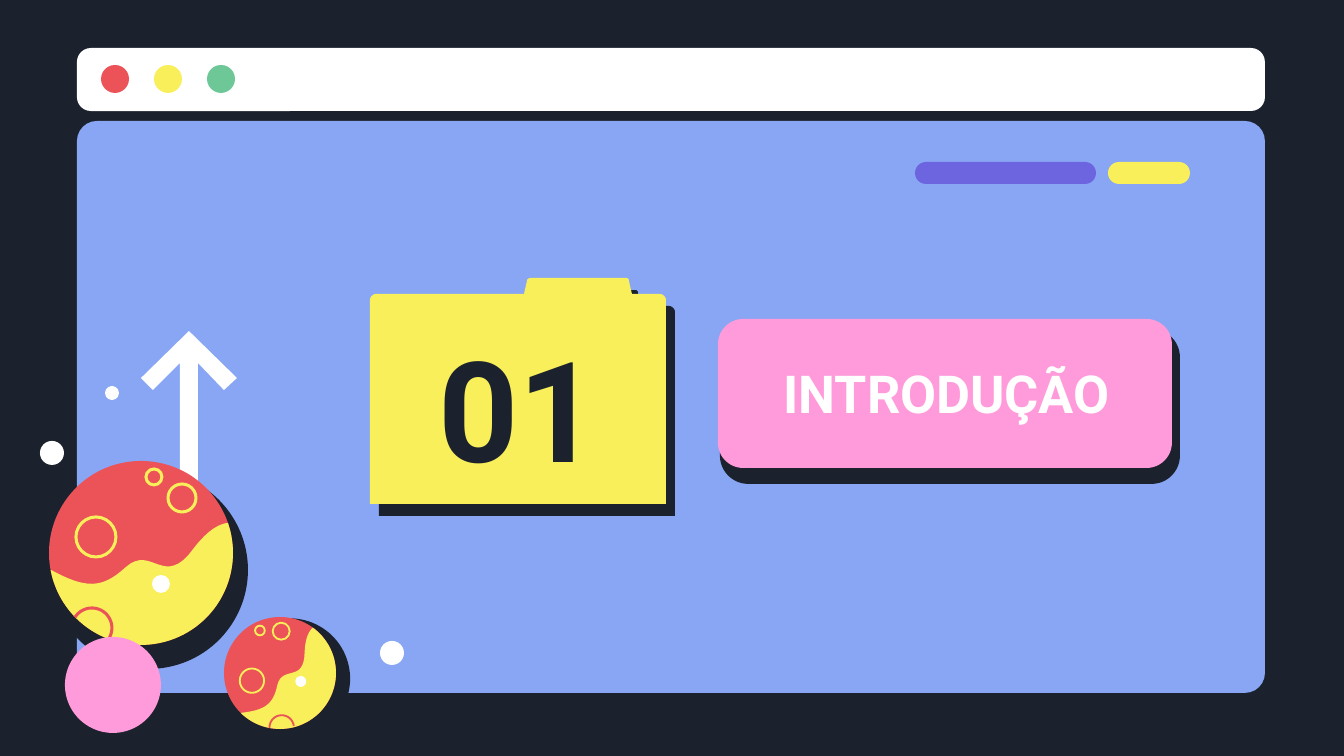
import math
from dataclasses import dataclass

import pptx
import pptx.dml.color
import pptx.enum.shapes
import pptx.enum.text
import pptx.util

SCALE = 914400 / 134.4
SHAPES = pptx.enum.shapes.MSO_SHAPE


@dataclass(frozen=True)
class Theme:
    dark: str = "1B222D"
    white: str = "FFFFFF"
    blue: str = "88A6F3"
    red: str = "EB5358"
    yellow: str = "F8EF5B"
    green: str = "6DC797"
    purple: str = "6D65E0"
    pink: str = "FF9BDA"
    font: str = "Roboto"
    number: int = 75
    title: int = 28


def emu(px):
    return pptx.util.Emu(round(px * SCALE))


def color(code):
    return pptx.dml.color.RGBColor.from_string(code)


def arc(x, y, r, start, end):
    angles = [math.radians(start + (end - start) * i / 60) for i in range(61)]
    return [(x + r * math.cos(a), y + r * math.sin(a)) for a in angles]


def trace(steps):
    points = []
    for step in steps:
        if len(step) == 2:
            points.append(step)
            continue
        ends = [points[-1], step[:2], step[2:4], step[4:]]
        for i in range(1, 17):
            t = i / 16
            parts = ((1 - t) ** 3, 3 * t * (1 - t) ** 2, 3 * t * t * (1 - t), t ** 3)
            points.append(tuple(sum(w * p[k] for w, p in zip(parts, ends)) for k in (0, 1)))
    return points


class Painter:
    def __init__(self, slide, theme):
        self.slide = slide
        self.theme = theme
        slide.background.fill.solid()
        slide.background.fill.fore_color.rgb = color(theme.dark)

    def paint(self, shape, fill=None, line=None, width=0):
        shape.shadow.inherit = False
        for part, code in ((shape.fill, fill), (shape.line.fill, line)):
            if code:
                part.solid()
                part.fore_color.rgb = color(code)
            else:
                part.background()
        if line:
            shape.line.width = emu(width)

    def panel(self, box, fill, round_by, **edge):
        shape = self.slide.shapes.add_shape(SHAPES.ROUNDED_RECTANGLE, *map(emu, box))
        shape.adjustments[0] = round_by
        self.paint(shape, fill, **edge)

    def disc(self, x, y, r, fill=None, **edge):
        box = (x - r, y - r, 2 * r, 2 * r)
        shape = self.slide.shapes.add_shape(SHAPES.OVAL, *map(emu, box))
        self.paint(shape, fill, **edge)

    def outline(self, points, fill=None, close=True, **edge):
        first, *rest = [(emu(x), emu(y)) for x, y in points]
        pen = self.slide.shapes.build_freeform(*first, scale=1.0)
        pen.add_line_segments(rest, close=close)
        self.paint(pen.convert_to_shape(), fill, **edge)

    def label(self, box, text, size, code):
        frame = self.slide.shapes.add_textbox(*map(emu, box)).text_frame
        middle = pptx.enum.text.MSO_ANCHOR.MIDDLE
        for name, value in {"word_wrap": True, "vertical_anchor": middle,
                            "margin_top": emu(13), "margin_bottom": emu(13)}.items():
            setattr(frame, name, value)
        line = frame.paragraphs[0]
        line.alignment = pptx.enum.text.PP_ALIGN.CENTER
        run = line.add_run()
        run.text = text
        style = {"name": self.theme.font, "size": pptx.util.Pt(size), "bold": True}
        for name, value in style.items():
            setattr(run.font, name, value)
        run.font.color.rgb = color(code)

    def planet(self, x, y, r, turn):
        look = self.theme
        zoom = r / 92
        cos, sin = math.cos(math.radians(turn)), math.sin(math.radians(turn))

        def place(u, v):
            return x + zoom * (u * cos - v * sin), y + zoom * (u * sin + v * cos)

        self.disc(*place(8, 17), 99 * zoom, look.dark)
        self.disc(x, y, r, look.red)
        for u, v, size in ((-45, -16, 20), (41, -55, 14), (13, -76, 8)):
            self.disc(*place(u, v), size * zoom, line=look.yellow, width=3 * zoom)
        wave = trace([(-90, 17), (-55, 36, -39, 36, -15, 14),
                      (11, -9, 23, 37, 53, -5), (67, -23, 78, -29, 87, -30)])
        land = wave + arc(0, 0, 92, -19, 169)
        self.outline([place(*p) for p in land], look.yellow)
        rim = arc(-49, 75, 20, 212, 388)
        self.outline([place(*p) for p in rim], close=False, line=look.red, width=3 * zoom)
        self.disc(*place(20, 31), 9 * zoom, look.white)


def main():
    deck = pptx.Presentation()
    deck.slide_width, deck.slide_height = emu(1344), emu(756)
    look = Theme()
    art = Painter(deck.slides.add_slide(deck.slide_layouts[6]), look)

    art.panel((77, 121, 1188, 572), look.blue, 0.035)
    art.panel((77, 48, 1188, 63), look.white, 0.22)
    for i, code in enumerate((look.red, look.yellow, look.green)):
        art.disc(115 + 53 * i, 79, 14, code)
    art.panel((915, 162, 181, 22), look.purple, 0.5)
    art.panel((1108, 162, 82, 22), look.yellow, 0.5)

    art.disc(52, 453, 12, look.white)
    art.outline([(180, 577), (180, 363), (153, 390), (141, 378), (189, 331),
                 (237, 378), (224, 390), (198, 363), (198, 577)], look.white)

    art.panel((723, 332, 454, 149), look.dark, 0.17, line=look.dark, width=6)
    art.panel((718, 319, 454, 149), look.pink, 0.17)
    folder = trace([(666, 300), (666, 504), (370, 504), (370, 300),
                    (370, 297, 373, 294, 376, 294), (524, 294), (527, 281),
                    (527, 279, 529, 278, 531, 278), (626, 278),
                    (628, 278, 629, 279, 629, 281), (632, 294), (660, 294),
                    (663, 294, 666, 297, 666, 300)])
    for dx, dy, code in ((9, 12, look.dark), (0, 0, look.yellow)):
        art.outline([(x + dx, y + dy) for x, y in folder], code)
    art.label((405, 340, 227, 133), "01", look.number, look.dark)
    art.label((732, 331, 429, 124), "INTRODUÇÃO", look.title, look.white)

    art.planet(141, 553, 92, 0)
    art.disc(113, 685, 48, look.pink)
    art.planet(280, 673, 56, -35)
    art.disc(392, 653, 12, look.white)
    art.disc(112, 393, 7, look.white)

    deck.save("out.pptx")


if __name__ == "__main__":
    main()
